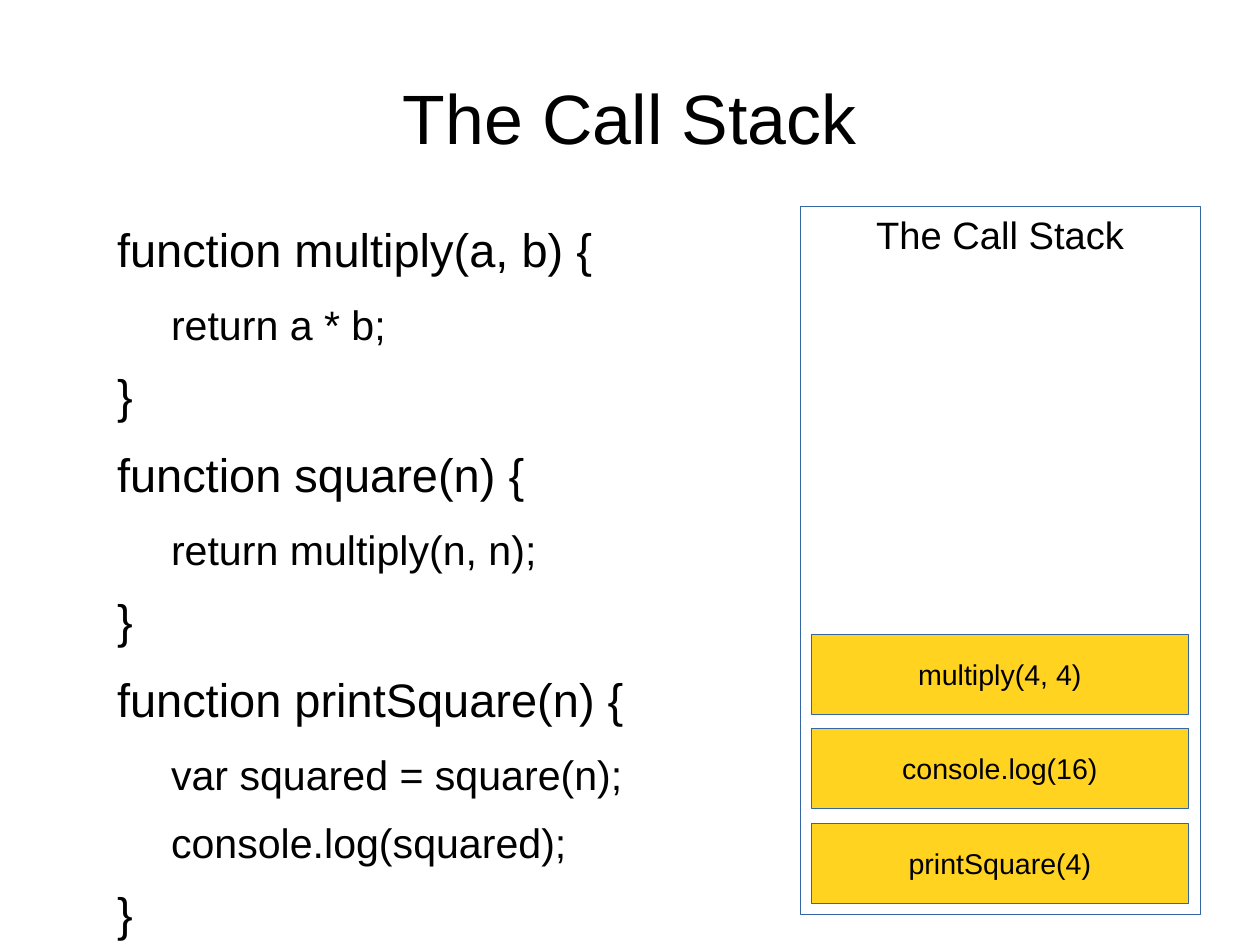
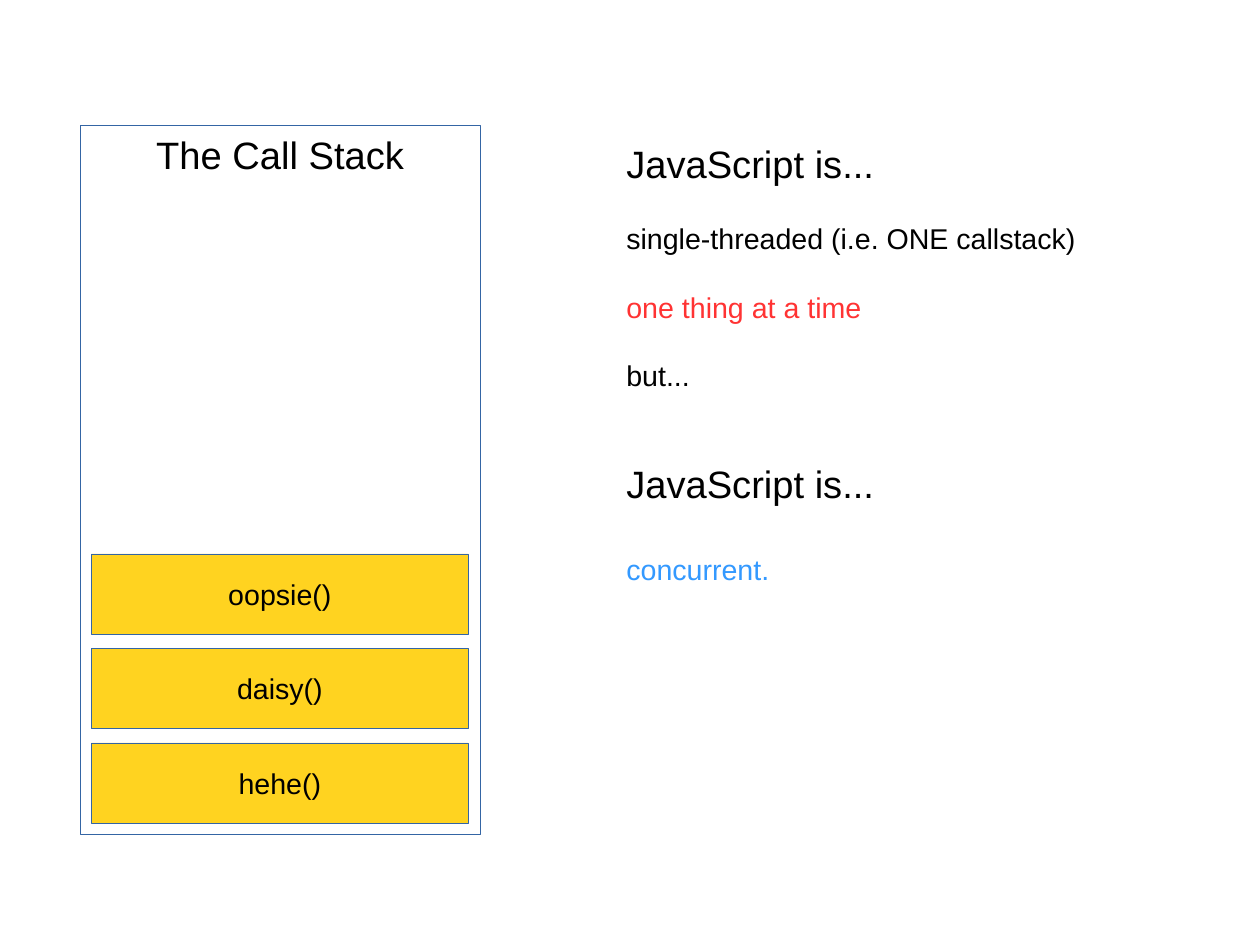
"""Build two slides about the JavaScript call stack."""
import lxml.etree
import pptx
import pptx.dml.color
import pptx.enum.shapes
import pptx.enum.text
import pptx.oxml.ns
import pptx.util
from pptx.util import Cm

FONT = "Arial"
BLACK, WHITE, YELLOW = "000000", "FFFFFF", "FFD320"
BORDER, RED, BLUE = "3465A4", "FF3333", "3399FF"
LEFT = pptx.enum.text.PP_ALIGN.LEFT
CENTER = pptx.enum.text.PP_ALIGN.CENTER
TOP = pptx.enum.text.MSO_ANCHOR.TOP
MIDDLE = pptx.enum.text.MSO_ANCHOR.MIDDLE


def colour(hex_code):
    return pptx.dml.color.RGBColor.from_string(hex_code)


def write(frame, text, size=18, ink=BLACK, align=LEFT, before=0, after=0, level=0, indent=0):
    paragraph = frame.paragraphs[-1] if not frame.text else frame.add_paragraph()
    paragraph.level = level
    properties = paragraph._p.get_or_add_pPr()
    properties.set("marL", str(Cm(indent)))
    properties.set("indent", "0")
    lxml.etree.SubElement(properties, pptx.oxml.ns.qn("a:buNone"))
    paragraph.alignment = align
    paragraph.space_before = pptx.util.Pt(before)
    paragraph.space_after = pptx.util.Pt(after)
    run = paragraph.add_run()
    run.text = text
    run.font.name = FONT
    run.font.size = pptx.util.Pt(size)
    run.font.color.rgb = colour(ink)


deck = pptx.Presentation()
deck.slide_width, deck.slide_height = Cm(28), Cm(21)
code_slide = deck.slides.add_slide(deck.slide_layouts[1])
summary_slide = deck.slides.add_slide(deck.slide_layouts[6])

heading = code_slide.shapes.title
code = code_slide.placeholders[1]
for holder, top, height, anchor in ((heading, 0.84, 3.5, MIDDLE), (code, 4.9, 13.64, TOP)):
    holder.left, holder.top = Cm(1.4), Cm(top)
    holder.width, holder.height = Cm(25.2), Cm(height)
    frame = holder.text_frame
    frame.margin_left = frame.margin_right = frame.margin_top = frame.margin_bottom = 0
    frame.vertical_anchor = anchor
    frame.auto_size = pptx.enum.text.MSO_AUTO_SIZE.NONE

write(heading.text_frame, "The Call Stack", size=44, align=CENTER)
for level, line in (
    (0, "function multiply(a, b) {"),
    (1, "return a * b;"),
    (0, "}"),
    (0, "function square(n) {"),
    (1, "return multiply(n, n);"),
    (0, "}"),
    (0, "function printSquare(n) {"),
    (1, "var squared = square(n);"),
    (1, "console.log(squared);"),
    (0, "}"),
):
    write(code.text_frame, line, size=(29.6, 25.9)[level], after=(14.2, 11.3)[level],
          level=level, indent=1.2 * (level + 1))

for slide, left, top, calls in (
    (code_slide, 17.78, 4.57, ("printSquare(4)", "console.log(16)", "multiply(4, 4)")),
    (summary_slide, 1.78, 2.79, ("hehe()", "daisy()", "oopsie()")),
):
    boxes = [("The Call Stack", left, top, 8.89, 15.75, WHITE, 24, TOP)]
    for position, call in enumerate(calls):
        boxes.append((call, left + 0.25, top + 13.72 - 2.1 * position, 8.38, 1.78,
                      YELLOW, 18, MIDDLE))
    for label, x, y, width, height, fill, size, anchor in boxes:
        box = slide.shapes.add_shape(pptx.enum.shapes.MSO_SHAPE.RECTANGLE,
                                     Cm(x), Cm(y), Cm(width), Cm(height))
        box.shadow.inherit = False
        box.fill.solid()
        box.fill.fore_color.rgb = colour(fill)
        box.line.color.rgb = colour(BORDER)
        box.line.width = pptx.util.Pt(0.1)
        box.text_frame.word_wrap = False
        box.text_frame.vertical_anchor = anchor
        write(box.text_frame, label, size=size, align=CENTER)

summary = summary_slide.shapes.add_textbox(Cm(13.67), Cm(3), Cm(10.49), Cm(10.21)).text_frame
summary.word_wrap = True
for text, size, ink, before in (
    ("JavaScript is...", 24, BLACK, 0),
    ("single-threaded (i.e. ONE callstack)", 18, BLACK, 22),
    ("one thing at a time", 18, RED, 21.5),
    ("but...", 18, BLACK, 21.5),
    ("JavaScript is...", 24, BLACK, 43),
    ("concurrent.", 18, BLUE, 28.8),
):
    write(summary, text, size=size, ink=ink, before=before)

deck.save("out.pptx")
